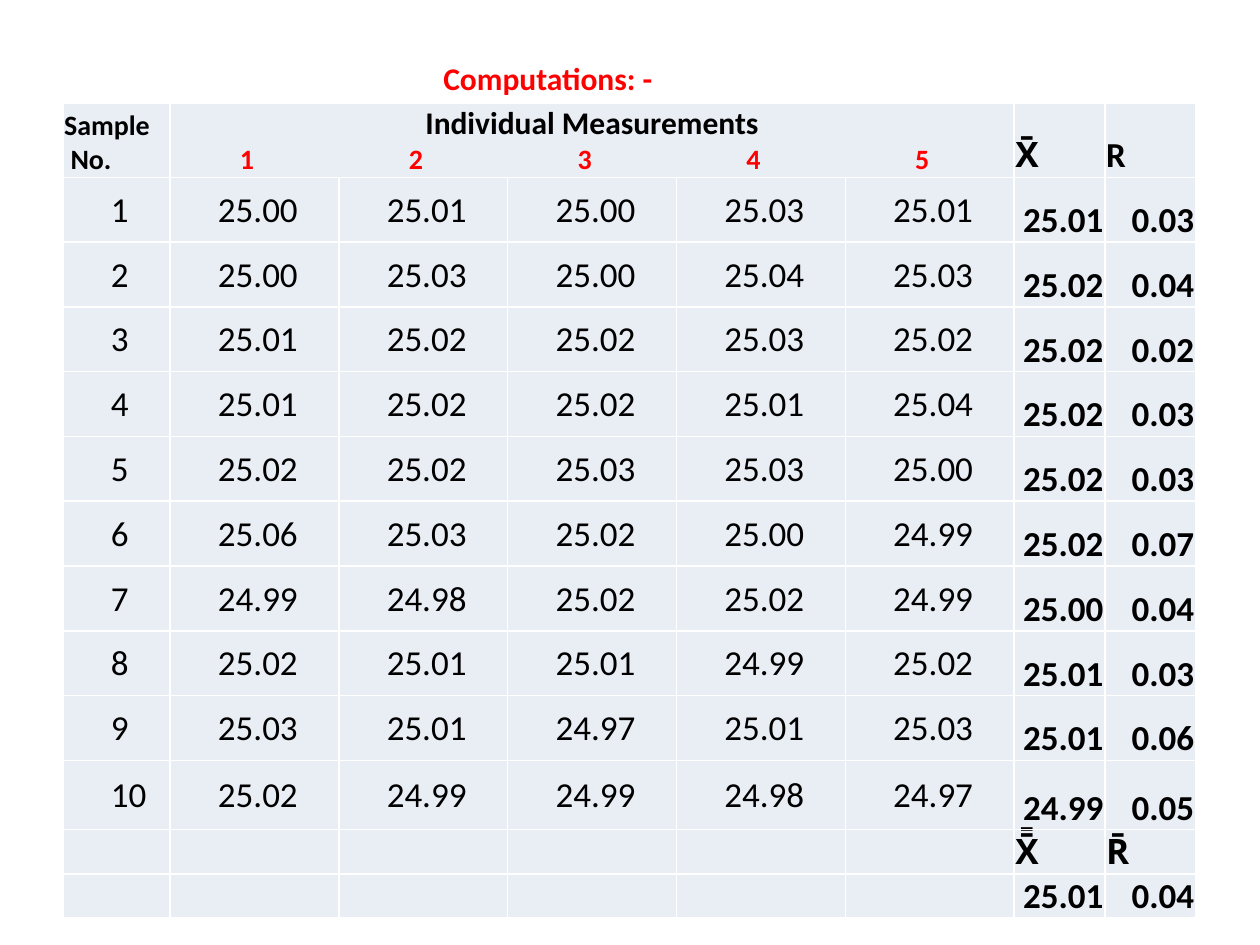
from lxml import etree
from pptx import Presentation
from pptx import util as u
from pptx.dml.color import RGBColor
from pptx.enum import text
from pptx.oxml.ns import qn

BLACK = RGBColor(0x00, 0x00, 0x00)
RED = RGBColor(0xFF, 0x00, 0x00)
PALE = RGBColor(0xE9, 0xED, 0xF4)
WHITE = "FFFFFF"
FONT = "Calibri"
LEFT, RIGHT, MID = text.PP_ALIGN.LEFT, text.PP_ALIGN.RIGHT, text.PP_ALIGN.CENTER
BOTTOM, MIDDLE = text.MSO_ANCHOR.BOTTOM, text.MSO_ANCHOR.MIDDLE

STEP = 1.34  # width of one measurement column
COLS = [0.85] + [STEP] * 5 + [0.72] * 2
ROWS = [0.58] + [4.63 / 9] * 9 + [0.55] + [0.34] * 2

# Five measurements, then mean and range, for each sample
DATA = [
    "25.00 25.01 25.00 25.03 25.01 25.01 0.03",
    "25.00 25.03 25.00 25.04 25.03 25.02 0.04",
    "25.01 25.02 25.02 25.03 25.02 25.02 0.02",
    "25.01 25.02 25.02 25.01 25.04 25.02 0.03",
    "25.02 25.02 25.03 25.03 25.00 25.02 0.03",
    "25.06 25.03 25.02 25.00 24.99 25.02 0.07",
    "24.99 24.98 25.02 25.02 24.99 25.00 0.04",
    "25.02 25.01 25.01 24.99 25.02 25.01 0.03",
    "25.03 25.01 24.97 25.01 25.03 25.01 0.06",
    "25.02 24.99 24.99 24.98 24.97 24.99 0.05",
]


def style(para, size, bold=True, color=BLACK, align=LEFT):
    para.alignment = align
    font = para.font
    font.name, font.size, font.bold = FONT, u.Pt(size), bold
    font.color.rgb = color


def edge(cell):
    """White line on all four sides."""
    props = cell._tc.get_or_add_tcPr()
    for side in ("lnL", "lnR", "lnT", "lnB"):
        line = etree.SubElement(props, qn("a:" + side), w=str(u.Pt(1)))
        fill = etree.SubElement(line, qn("a:solidFill"))
        etree.SubElement(fill, qn("a:srgbClr"), val=WHITE)


def tabs(para, stops):
    """Centred tab stops, in inches."""
    group = etree.SubElement(para._p.get_or_add_pPr(), qn("a:tabLst"))
    for stop in stops:
        etree.SubElement(group, qn("a:tab"), pos=str(u.Inches(stop)), algn="ctr")


def base(cell):
    edge(cell)
    cell.fill.solid()
    cell.fill.fore_color.rgb = PALE
    cell.margin_left = cell.margin_right = cell.margin_top = u.Inches(0.01)
    cell.margin_bottom = 0
    cell.vertical_anchor = BOTTOM


def put(cell, words, **look):
    para = cell.text_frame.paragraphs[0]
    para.text = words
    style(para, 20, **look)


def value(cell, words):
    """A plain reading, set in from the left."""
    cell.margin_left = u.Inches(0.38)
    cell.vertical_anchor = MIDDLE
    put(cell, words, bold=False)


def head(grid):
    grid.cell(0, 1).merge(grid.cell(0, 5))

    # Sample number, second line slightly indented
    frame = grid.cell(0, 0).text_frame
    frame.text = "Sample\nNo."
    frame.paragraphs[1]._p.get_or_add_pPr().set("marL", str(u.Inches(0.05)))
    for para in frame.paragraphs:
        style(para, 16)

    # Measurement title above its five column numbers
    frame = grid.cell(0, 1).text_frame
    frame.text = "Individual Measurements"
    style(frame.paragraphs[0], 18, align=MID)
    para = frame.add_paragraph()
    tabs(para, [0.6 + STEP * i for i in range(5)])
    para.add_run().text = "\t1\t2\t3\t4\t5"
    style(para, 16, color=RED)

    put(grid.cell(0, 6), "X̄")
    put(grid.cell(0, 7), "R")


def table(slide):
    frame = slide.shapes.add_table(
        len(ROWS), len(COLS), u.Inches(0.5), u.Inches(0.82),
        u.Inches(sum(COLS)), u.Inches(sum(ROWS)))
    grid = frame.table
    grid.first_row = grid.horz_banding = False
    for col, width in zip(grid.columns, COLS):
        col.width = u.Inches(width)
    for row, height in zip(grid.rows, ROWS):
        row.height = u.Inches(height)
    for cell in grid.iter_cells():
        base(cell)
    head(grid)

    # Samples
    for r, line in enumerate(DATA, 1):
        for c, words in enumerate([str(r)] + line.split()):
            cell = grid.cell(r, c)
            if c < 6:
                value(cell, words)
            else:
                put(cell, words, align=RIGHT)

    # Overall means
    for c, (name, mean) in enumerate([("X̄̄", "25.01"), ("R̄", "0.04")], 6):
        put(grid.cell(11, c), name)
        put(grid.cell(12, c), mean, align=RIGHT)


def title(slide):
    box = slide.shapes.add_textbox(
        u.Inches(3.42), u.Inches(0.42), u.Inches(1.88), u.Inches(0.4))
    frame = box.text_frame
    frame.word_wrap = False
    frame.auto_size = text.MSO_AUTO_SIZE.SHAPE_TO_FIT_TEXT
    frame.text = "Computations: -"
    style(frame.paragraphs[0], 18, color=RED)


def main():
    deck = Presentation()
    deck.slide_width, deck.slide_height = u.Inches(10), u.Inches(7.5)
    slide = deck.slides.add_slide(deck.slide_layouts[6])
    table(slide)
    title(slide)
    deck.save("out.pptx")


if __name__ == "__main__":
    main()
